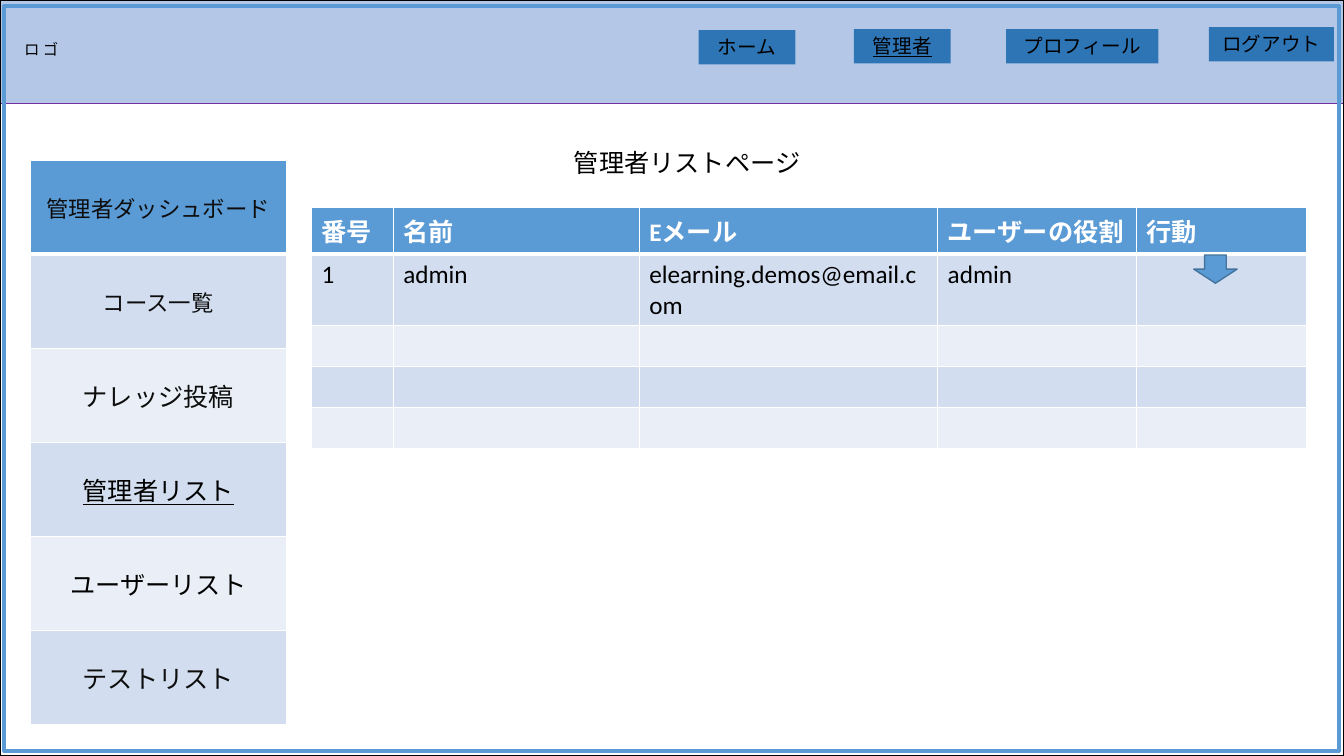
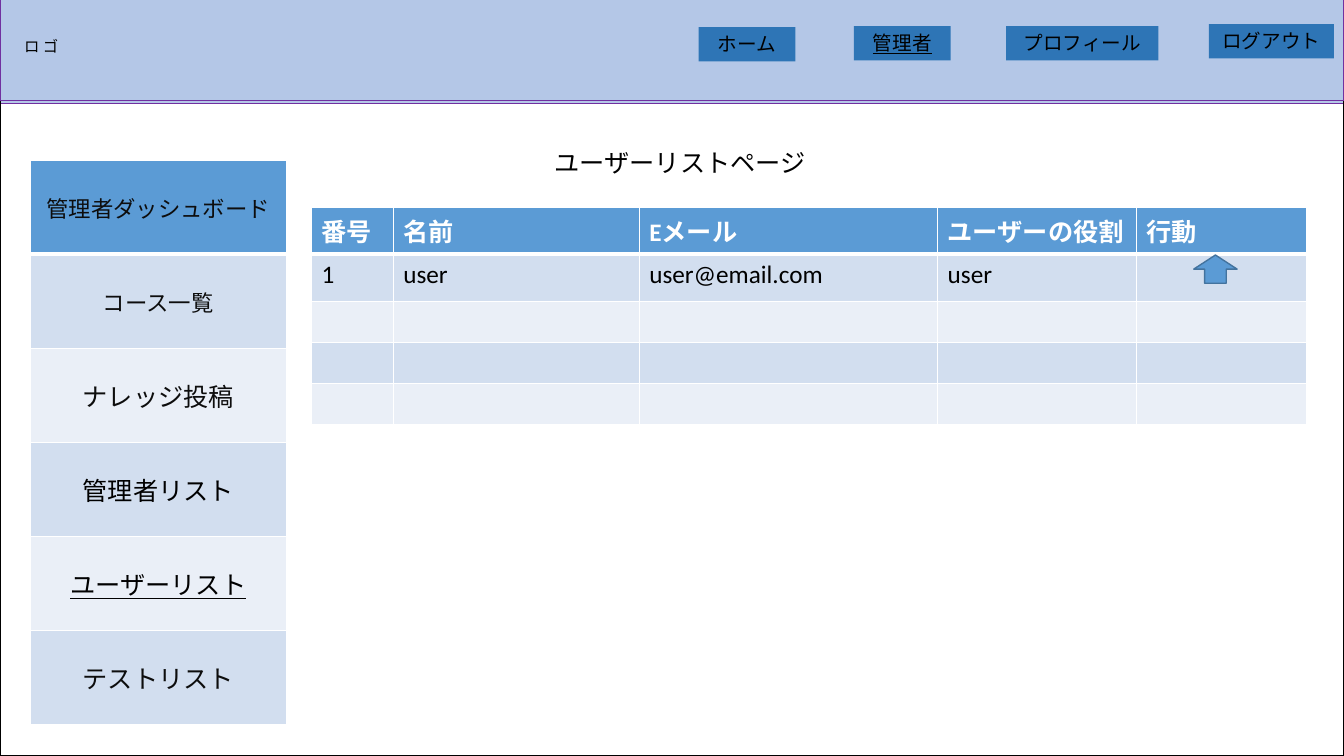
from dataclasses import dataclass
from typing import Any, NamedTuple, Optional

from lxml import etree
from pptx import Presentation
from pptx import util as u
from pptx.dml.color import RGBColor
from pptx.enum import shapes, text
from pptx.oxml import ns

WHITE = RGBColor(0xFF, 0xFF, 0xFF)
BLACK = RGBColor(0, 0, 0)
INK = RGBColor(0x0D, 0x0D, 0x0D)
BLUE = RGBColor(0x5B, 0x9B, 0xD5)
EDGE = RGBColor(0x43, 0x73, 0x9E)
BAND = RGBColor(0xB4, 0xC7, 0xE7)
NAVY = RGBColor(0x2E, 0x75, 0xB6)
PURPLE = RGBColor(0x70, 0x30, 0xA0)
STRIPES = (RGBColor(0xD2, 0xDE, 0xEF), RGBColor(0xEA, 0xEF, 0xF7))

FONT = "Calibri"
RECT = shapes.MSO_SHAPE.RECTANGLE
CENTER = text.PP_ALIGN.CENTER
MIDDLE = text.MSO_ANCHOR.MIDDLE
TOP = text.MSO_ANCHOR.TOP

WIDTH, HEIGHT = 13.33, 7.5
HEADS = ["番号", "名前", "Eメール", "ユーザーの役割", "行動"]
COLS = [0.81, 2.44, 2.96, 1.97, 1.69]
ROWS = [0.4, 0.47, 0.4, 0.4, 0.4]


class Box(NamedTuple):
    """Left, top, width and height in inches."""
    left: float
    top: float
    width: float
    height: float

    def spans(self) -> tuple:
        """Return the four lengths for a shape call."""
        return tuple(u.Inches(part) for part in self)


@dataclass
class Link:
    """A button in the header; its top is measured from the band."""
    label: str
    left: float
    top: float
    width: float
    active: bool = False


@dataclass
class Item:
    """A row of the side menu."""
    label: str
    size: int = 18
    color: RGBColor = INK


@dataclass
class Page:
    """What differs from slide to slide."""
    title: str
    place: Box
    active: str
    role: str
    mail: str
    turn: int
    framed: bool


LINKS = [
    Link("ホーム", 6.93, 0.33, 0.96),
    Link("プロフィール", 9.98, 0.32, 1.51),
    Link("ログアウト", 11.99, 0.3, 1.24),
    Link("管理者", 8.47, 0.32, 0.96, True),
]
MENU = [
    Item("管理者ダッシュボード", 16),
    Item("コース一覧", 16),
    Item("ナレッジ投稿"),
    Item("管理者リスト", color=BLACK),
    Item("ユーザーリスト", color=BLACK),
    Item("テストリスト"),
]
PAGES = [
    Page("管理者リストページ", Box(4.67, 1.39, 4.29, 0.45), "管理者リスト",
         "admin", "elearning.demos@email.com", 180, True),
    Page("ユーザーリストページ", Box(4.68, 1.39, 4.13, 0.45), "ユーザーリスト",
         "user", "user@email.com", 0, False),
]


def write(frame: Any, words: str, size: int, color: RGBColor = BLACK,
          align: Any = None, **style: Any) -> None:
    """Put one formatted run into a text frame."""
    line = frame.paragraphs[0]
    line.alignment = align
    run = line.add_run()
    run.text = words
    looks = {"name": FONT, "size": u.Pt(size), "bold": False, **style}
    for key, value in looks.items():
        setattr(run.font, key, value)
    run.font.color.rgb = color


def paint(shape: Any, fill: Optional[RGBColor],
          line: Optional[RGBColor] = None, weight: float = 1) -> None:
    """Set the fill and outline of a shape."""
    if fill is None:
        shape.fill.background()
    else:
        shape.fill.solid()
        shape.fill.fore_color.rgb = fill
    if line is None:
        shape.line.fill.background()
    else:
        shape.line.color.rgb = line
        shape.line.width = u.Pt(weight)


def draw(host: Any, box: Box, fill: Optional[RGBColor],
         line: Optional[RGBColor] = None, weight: float = 1,
         kind: Any = RECT) -> Any:
    """Add a flat preset shape to a slide or group."""
    shape = host.shapes.add_shape(kind, *box.spans())
    shape.shadow.inherit = False
    paint(shape, fill, line, weight)
    return shape


def border(cell: Any, top: float = 1, bottom: float = 1) -> None:
    """Give a cell white borders, with weights in points."""
    props = cell._tc.get_or_add_tcPr()
    sides = {"lnL": 1, "lnR": 1, "lnT": top, "lnB": bottom}
    for spot, (tag, weight) in enumerate(sides.items()):
        edge = etree.Element(ns.qn(f"a:{tag}"), w=str(u.Pt(weight)))
        fill = etree.SubElement(edge, ns.qn("a:solidFill"))
        etree.SubElement(fill, ns.qn("a:srgbClr"), val=str(WHITE))
        props.insert(spot, edge)


def grid(slide: Any, box: Box, cols: list, rows: list) -> Any:
    """Add a striped table whose first row is a blue header."""
    table = slide.shapes.add_table(len(rows), len(cols), *box.spans()).table
    for col, width in zip(table.columns, cols):
        col.width = u.Inches(width)
    for index, (row, height) in enumerate(zip(table.rows, rows)):
        row.height = u.Inches(height)
        for cell in row.cells:
            cell.fill.solid()
            cell.fill.fore_color.rgb = STRIPES[(index - 1) % 2] if index else BLUE
            border(cell, top=3 if index == 1 else 1, bottom=1 if index else 3)
    return table


def users(slide: Any, page: Page) -> None:
    """Draw the list of users and its action arrow."""
    table = grid(slide, Box(3.09, 2.06, 9.88, 2.08), COLS, ROWS)
    for col, head in enumerate(HEADS):
        write(table.cell(0, col).text_frame, head, 18, WHITE, bold=True)
    for col, words in enumerate(["1", page.role, page.mail, page.role]):
        write(table.cell(1, col).text_frame, words, 18)


def menu(slide: Any, active: str) -> None:
    """Draw the side menu, underlining the active entry."""
    table = grid(slide, Box(0.3, 1.59, 2.54, 5.6), [2.54], [5.6 / len(MENU)] * len(MENU))
    for row, item in enumerate(MENU):
        cell = table.cell(row, 0)
        cell.vertical_anchor = MIDDLE
        write(cell.text_frame, item.label, item.size, item.color, CENTER,
              underline=item.label == active)


def band(host: Any, top: float) -> None:
    """Draw the header band."""
    draw(host, Box(0, top, WIDTH, 1.06), BAND, PURPLE)


def header(slide: Any, top: float) -> None:
    """Draw the band with its buttons and logo label as a group."""
    group = slide.shapes.add_group_shape()
    band(group, top)
    for link in LINKS:
        button = draw(group, Box(link.left, top + link.top, link.width, 0.34), NAVY)
        frame = button.text_frame
        frame.vertical_anchor = TOP
        frame.auto_size = text.MSO_AUTO_SIZE.SHAPE_TO_FIT_TEXT
        write(frame, link.label, 14, align=CENTER, underline=link.active)
    label = group.shapes.add_textbox(*Box(0.14, top + 0.375, 0.97, 0.43).spans())
    label.text_frame.word_wrap = True
    write(label.text_frame, "ロ ゴ", 11)


def title(slide: Any, page: Page) -> None:
    """Move and format the title placeholder."""
    shape = slide.shapes.title
    for key, value in zip(("left", "top", "width", "height"), page.place.spans()):
        setattr(shape, key, value)
    paint(shape, WHITE, WHITE)
    shape.text_frame.auto_size = text.MSO_AUTO_SIZE.NONE
    shape.text_frame.vertical_anchor = MIDDLE
    write(shape.text_frame, page.title, 18, align=CENTER)


def build(deck: Any, page: Page) -> None:
    """Add one list page to the deck."""
    slide = deck.slides.add_slide(deck.slide_layouts.get_by_name("Title Only"))
    title(slide, page)
    users(slide, page)
    menu(slide, page.active)
    arrow = draw(slide, Box(11.84, 2.53, 0.43, 0.28), BLUE, EDGE,
                 kind=shapes.MSO_SHAPE.UP_ARROW)
    arrow.rotation = page.turn
    if page.framed:
        header(slide, -0.03)
    else:
        band(slide, -0.03)
    draw(slide, Box(0, 0, WIDTH, HEIGHT), None, BLACK)
    if page.framed:
        draw(slide, Box(0.04, 0.06, 13.24, 7.39), None, BLUE, 3)
    else:
        header(slide, -0.06)


def main() -> None:
    """Build and save the deck."""
    deck = Presentation()
    deck.slide_width = u.Inches(WIDTH)
    deck.slide_height = u.Inches(HEIGHT)
    for page in PAGES:
        build(deck, page)
    deck.save("out.pptx")


main()
